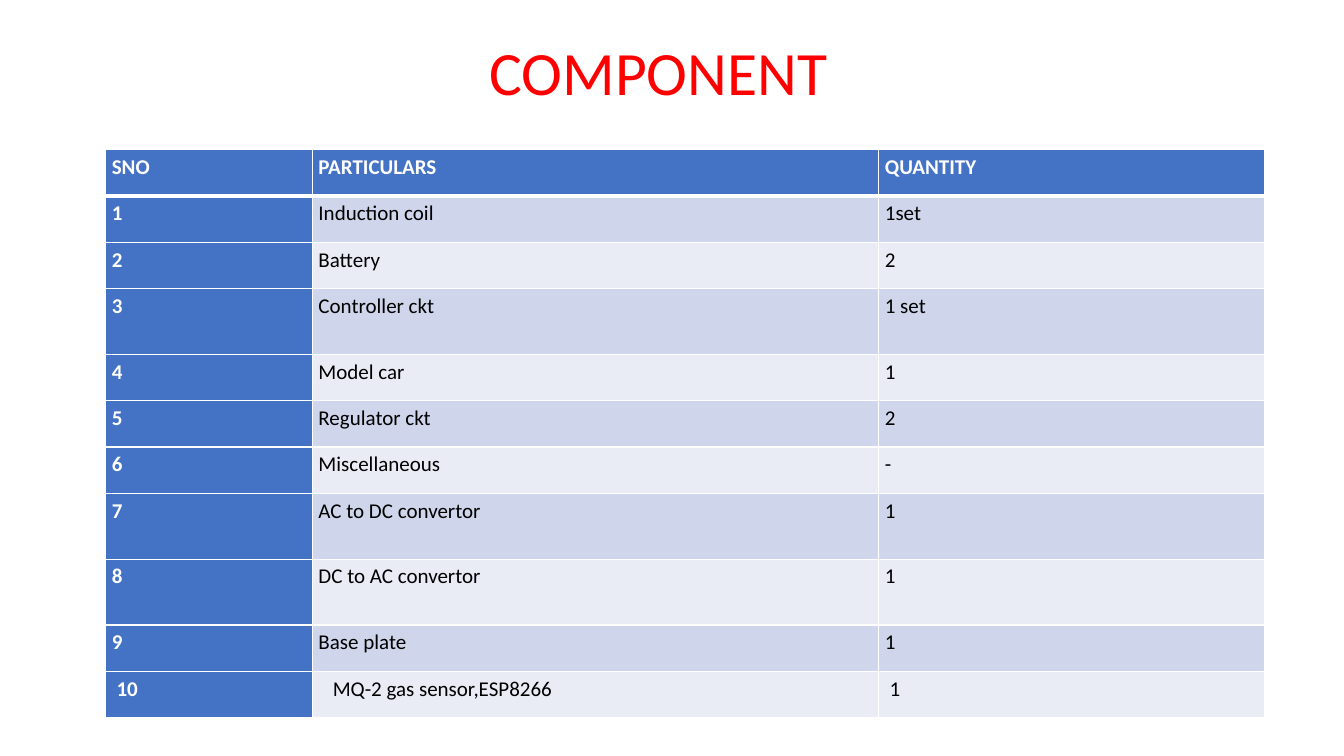
import pptx
import pptx.dml.color
import pptx.enum.text
import pptx.oxml
import pptx.oxml.ns
import pptx.util

Pt = pptx.util.Pt
ROWS = [
    ("SNO", "PARTICULARS", "QUANTITY"),
    ("1", "Induction coil", "1set"),
    ("2", "Battery", "2"),
    ("3", "Controller ckt", "1 set"),
    ("4", "Model car", "1"),
    ("5", "Regulator ckt", "2"),
    ("6", "Miscellaneous", "-"),
    ("7", "AC to DC convertor", "1"),
    ("8", "DC to AC convertor", "1"),
    ("9", "Base plate", "1"),
    ("10", "MQ-2 gas sensor,ESP8266", "1"),
]
WIDTHS = (147.6, 404.6, 275.8)
TALL = (3, 7, 8)
LAST_INDENTS = (3.4, 10.2, 3.4)


def color(code):
    return pptx.dml.color.RGBColor.from_string(code)


class Deck:
    font = "Calibri"
    blue, white, black, red = "4472C4", "FFFFFF", "000000", "FF0000"
    bands = ("E9EBF5", "CFD5EA")

    def __init__(self):
        self.file = pptx.Presentation()
        self.file.slide_width, self.file.slide_height = Pt(960), Pt(540)
        self.slide = self.file.slides.add_slide(self.file.slide_layouts[6])

    def label(self, frame, text, size, tint, bold=False, lead=1.0, after=0):
        para = frame.paragraphs[0]
        para.text = text
        para.line_spacing, para.space_after = lead, Pt(after)
        font = para.font
        font.name, font.size, font.bold = self.font, Pt(size), bold
        font.color.rgb = color(tint)

    def title(self, text, box, inset):
        frame = self.slide.shapes.add_textbox(*map(Pt, box)).text_frame
        frame.word_wrap = True
        frame.margin_left = Pt(inset)
        frame.vertical_anchor = pptx.enum.text.MSO_ANCHOR.MIDDLE
        self.label(frame, text, 44, self.red, lead=0.9)

    def edges(self, cell, base):
        """Rule all four sides in white, the bottom one base points wide."""
        props = cell._tc.get_or_add_tcPr()
        sides = (("L", 1), ("R", 1), ("T", 1), ("B", base))
        for place, (side, width) in enumerate(sides):
            props.insert(place, pptx.oxml.parse_xml(
                f'<a:ln{side} {pptx.oxml.ns.nsdecls("a")} w="{Pt(width)}">'
                f'<a:solidFill><a:srgbClr val="{self.white}"/></a:solidFill>'
                f'</a:ln{side}>'))

    def cell(self, cell, text, row, col, indent):
        strong = row == 0 or col == 0
        cell.margin_left, cell.margin_right = Pt(4.3 + indent), Pt(4.3)
        cell.margin_top, cell.margin_bottom = Pt(0.7), Pt(0)
        cell.fill.solid()
        cell.fill.fore_color.rgb = color(
            self.blue if strong else self.bands[row % 2])
        self.edges(cell, 3 if row == 0 else 1)
        self.label(cell.text_frame, text, 15,
                   self.white if strong else self.black, strong, 1.15, 10)

    def table(self, rows, left, top):
        highs = [47 if row in TALL else 33.1 for row in range(len(rows))]
        grid = self.slide.shapes.add_table(
            len(rows), len(WIDTHS), Pt(left), Pt(top),
            Pt(sum(WIDTHS)), Pt(sum(highs))).table
        for col, width in enumerate(WIDTHS):
            grid.columns[col].width = Pt(width)
        for row, texts in enumerate(rows):
            grid.rows[row].height = Pt(highs[row])
            last = row == len(rows) - 1
            for col, text in enumerate(texts):
                indent = LAST_INDENTS[col] if last else 0
                self.cell(grid.cell(row, col), text, row, col, indent)


def main():
    deck = Deck()
    deck.title("COMPONENT", (75.6, 13.7, 828, 80.6), 274)
    deck.table(ROWS, 75.6, 106.9)
    deck.file.save("out.pptx")


if __name__ == "__main__":
    main()
